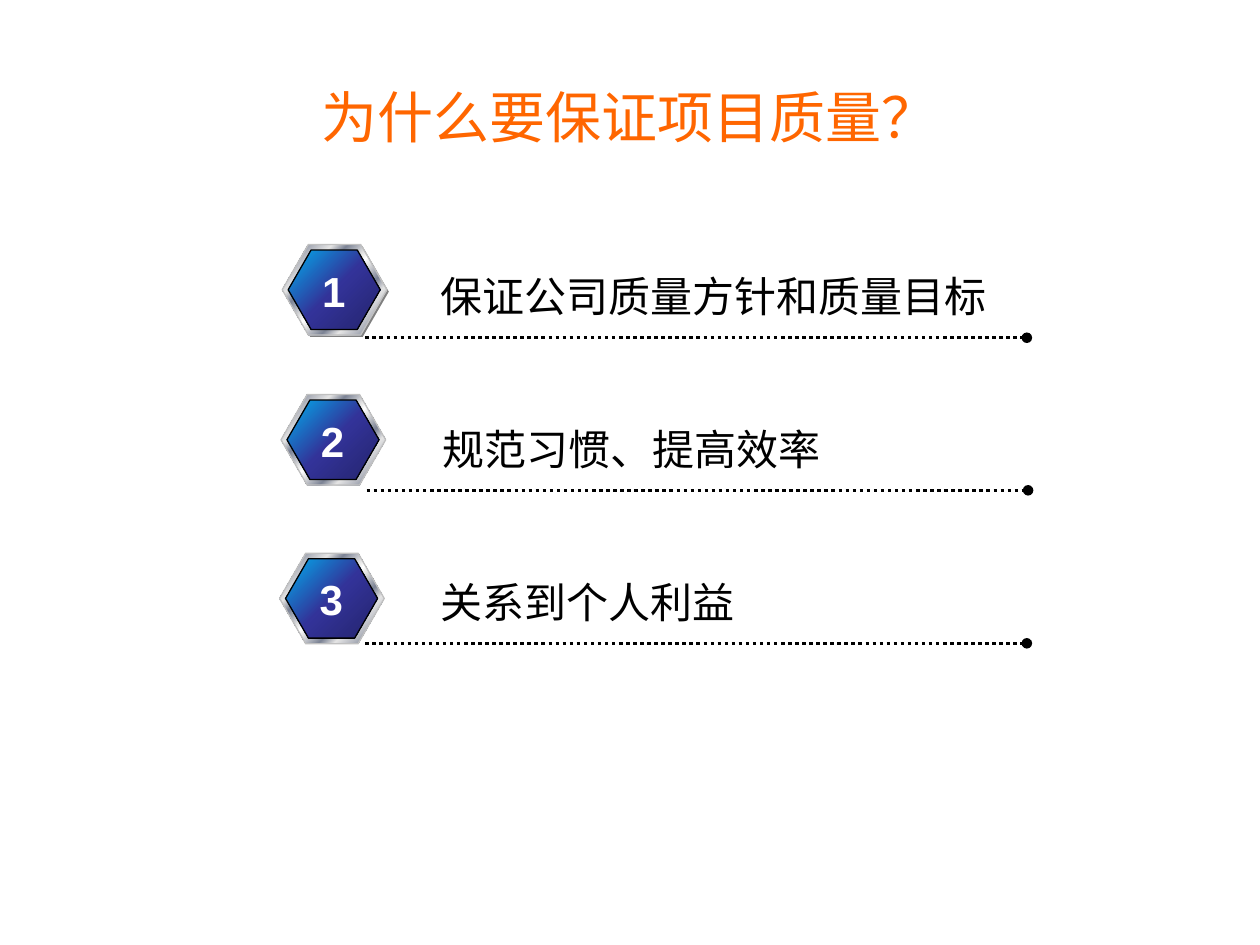
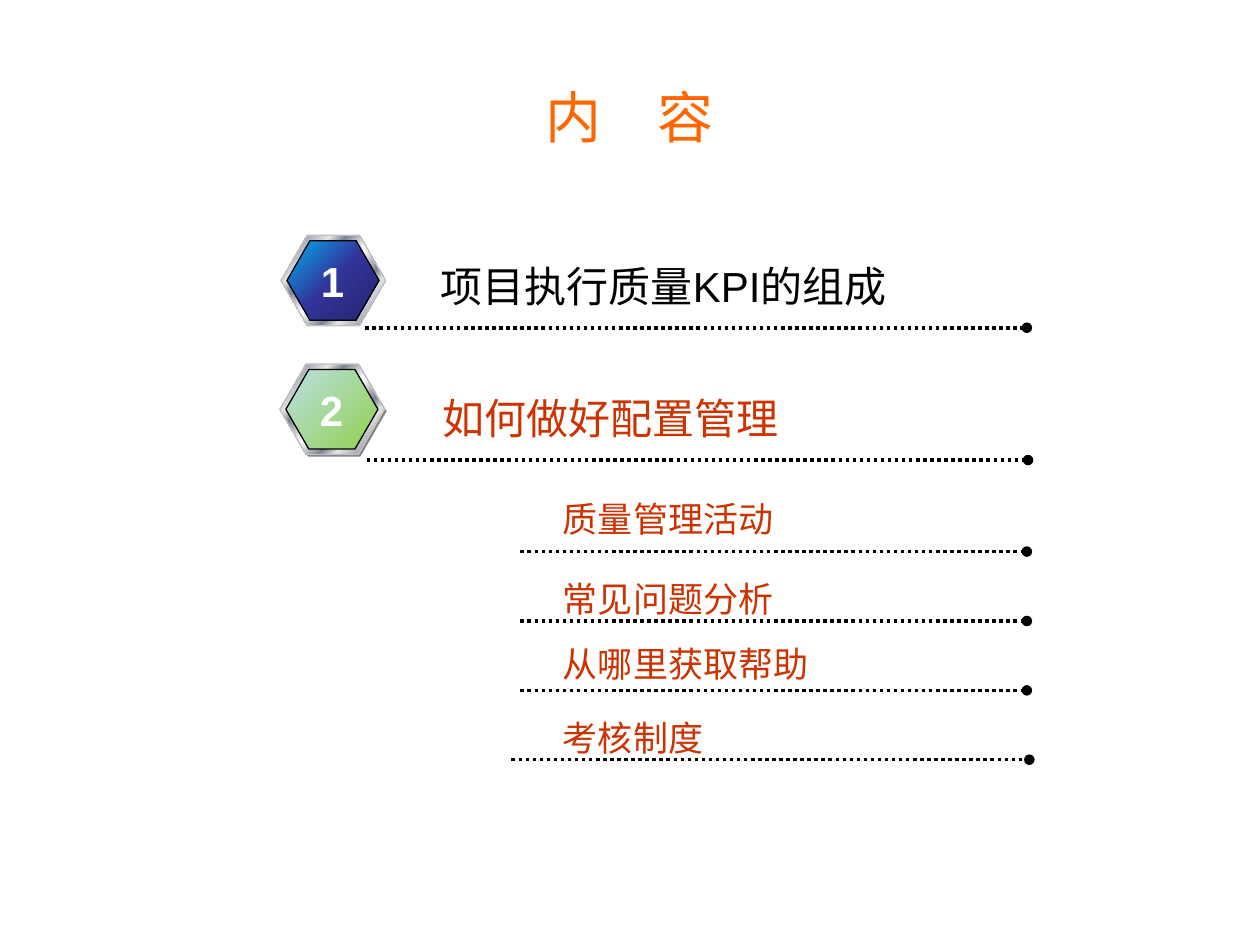
import pptx
import pptx.dml.color
import pptx.enum.dml
import pptx.enum.lang
import pptx.enum.shapes
import pptx.enum.text
import pptx.oxml
import pptx.oxml.ns
import pptx.util
from lxml import etree

Pt = pptx.util.Pt
qn = pptx.oxml.ns.qn
ALIGN = pptx.enum.text.PP_ALIGN

COLORS = {
    "title": "FF6600", "text": "000000", "active": "CC3300",
    "white": "FFFFFF", "rim": "C0C0C0", "shade": "808080",
    "light": "E6E6E6", "steel": "7D8496",
    "sky": "00B0F0", "blue": "333399", "navy": "24246D",
    "mint": "BBE0E3", "green": "92D050",
}
METAL = [(0, "light"), (7, "steel"), (26, "light"), (34, "steel"),
         (46, "light"), (50, "white"), (54, "light"), (66, "steel"),
         (74, "light"), (93, "steel"), (100, "light")]
BLUE = [(0, "sky"), (50, "blue"), (100, "navy")]
GREEN = [(0, "mint"), (100, "green")]
LATIN, HAN = "Arial", "Noto Sans CJK SC"


def color(name):
    return pptx.dml.color.RGBColor.from_string(COLORS[name])


def blend(shape, stops):
    """Fill from top left to bottom right through (percent, colour) stops."""
    shape.fill.gradient()
    shape.fill.gradient_angle = 315
    items = shape._element.spPr.find(qn("a:gradFill")).find(qn("a:gsLst"))
    for old in list(items):
        items.remove(old)
    for place, name in stops:
        stop = etree.SubElement(items, qn("a:gs"), pos=str(place * 1000))
        etree.SubElement(stop, qn("a:srgbClr"), val=COLORS[name])


class Deck:
    def __init__(self):
        self.prs = pptx.Presentation()
        self.prs.slide_width, self.prs.slide_height = Pt(720), Pt(540)
        self.slide = None

    def start(self, title):
        self.slide = self.prs.slides.add_slide(self.prs.slide_layouts[5])
        head = self.slide.shapes.title
        head.left, head.top, head.width, head.height = Pt(36), Pt(21.6), Pt(648), Pt(90)
        head.text_frame.vertical_anchor = pptx.enum.text.MSO_ANCHOR.MIDDLE
        self.put(head.text_frame, title, 32, "title", align=ALIGN.CENTER)

    def put(self, frame, text, size, tone, face=LATIN, bold=False, align=ALIGN.LEFT):
        """Set the one styled paragraph of a text frame."""
        frame.text = text
        para = frame.paragraphs[0]
        para.alignment = align
        font = para.font
        font.size, font.name, font.bold = Pt(size), face, bold
        font.color.rgb = color(tone)
        font.language_id = pptx.enum.lang.MSO_LANGUAGE_ID.SIMPLIFIED_CHINESE

    def label(self, x, y, text, size, tone, face):
        box = self.slide.shapes.add_textbox(Pt(x), Pt(y), Pt(336), Pt(size * 1.5))
        box.text_frame.word_wrap = True
        self.put(box.text_frame, text, size, tone, face)

    def rule(self, x, y, end):
        """Dotted line with a round end at the right."""
        rule = self.slide.shapes.add_connector(
            pptx.enum.shapes.MSO_CONNECTOR.STRAIGHT, Pt(x), Pt(y), Pt(end), Pt(y))
        rule.line.width = Pt(2)
        rule.line.color.rgb = color("text")
        rule.line.dash_style = pptx.enum.dml.MSO_LINE.ROUND_DOT
        props = rule._element.spPr
        etree.SubElement(props.find(qn("a:ln")), qn("a:tailEnd"), type="oval")
        etree.SubElement(props, qn("a:effectLst"))

    def hexa(self, group, x, y, width, height, fill, edge=None):
        """Hexagon with a plain colour name or a list of stops as fill."""
        hexa = group.shapes.add_shape(
            pptx.enum.shapes.MSO_SHAPE.HEXAGON, Pt(x), Pt(y), Pt(width), Pt(height))
        hexa.adjustments[0] = 0.289
        hexa.shadow.inherit = False
        if isinstance(fill, str):
            hexa.fill.solid()
            hexa.fill.fore_color.rgb = color(fill)
        else:
            blend(hexa, fill)
        if edge:
            hexa.line.color.rgb = color(edge)
            hexa.line.width = Pt(0.75)
        else:
            hexa.line.fill.background()

    def badge(self, x, y, digit, core, shade):
        group = self.slide.shapes.add_group_shape()
        if shade:
            self.hexa(group, x + 1.1, y + 1.1, 59.8, 51.8, "shade")
        self.hexa(group, x, y, 59.8, 51.8, METAL, "rim")
        self.hexa(group, x + 3.4, y + 3.2, 52.6, 45.4, core, "text")
        box = group.shapes.add_textbox(Pt(x + 15.5), Pt(y + 8.3), Pt(28), Pt(36))
        box.text_frame.word_wrap = False
        self.put(box.text_frame, digit, 24, "white", bold=True, align=ALIGN.CENTER)

    def row(self, digit, text, y, spot, shift=0, tone="text", face=LATIN,
            core=BLUE, shade=False):
        """Numbered item: rule at height y, badge with its corner at spot."""
        self.rule(208.8 + shift, y, 586.8 + shift)
        self.label(244.8 + shift, y - 41.9, text, 24, tone, face)
        self.badge(*spot, digit, core, shade)


def main():
    deck = Deck()

    deck.start("为什么要保证项目质量？")
    deck.row("1", "保证公司质量方针和质量目标", 193, (161.3, 139.7), shade=True)
    deck.row("2", "规范习惯、提高效率", 280.2, (160.6, 225.4), shift=0.7)
    deck.row("3", "关系到个人利益", 367.6, (159.8, 316.1), face=HAN)

    deck.start("内　容")
    deck.row("1", "项目执行质量KPI的组成", 187.3, (160.6, 134.4))
    deck.row("2", "如何做好配置管理", 262.9, (160, 208), shift=0.7,
             tone="active", core=GREEN, shade=True)

    topics = [("质量管理活动", 280.8), ("常见问题分析", 326.2),
              ("从哪里获取帮助", 363.6), ("考核制度", 406.1)]
    for i, (text, top) in enumerate(topics):
        last = i == len(topics) - 1
        deck.label(314.6, top, text, 20, "active", HAN)
        deck.rule(292.3 if last else 297.4, 315.2 + 39.65 * i, 588.2 if last else 586.8)

    deck.prs.save("out.pptx")


if __name__ == "__main__":
    main()
